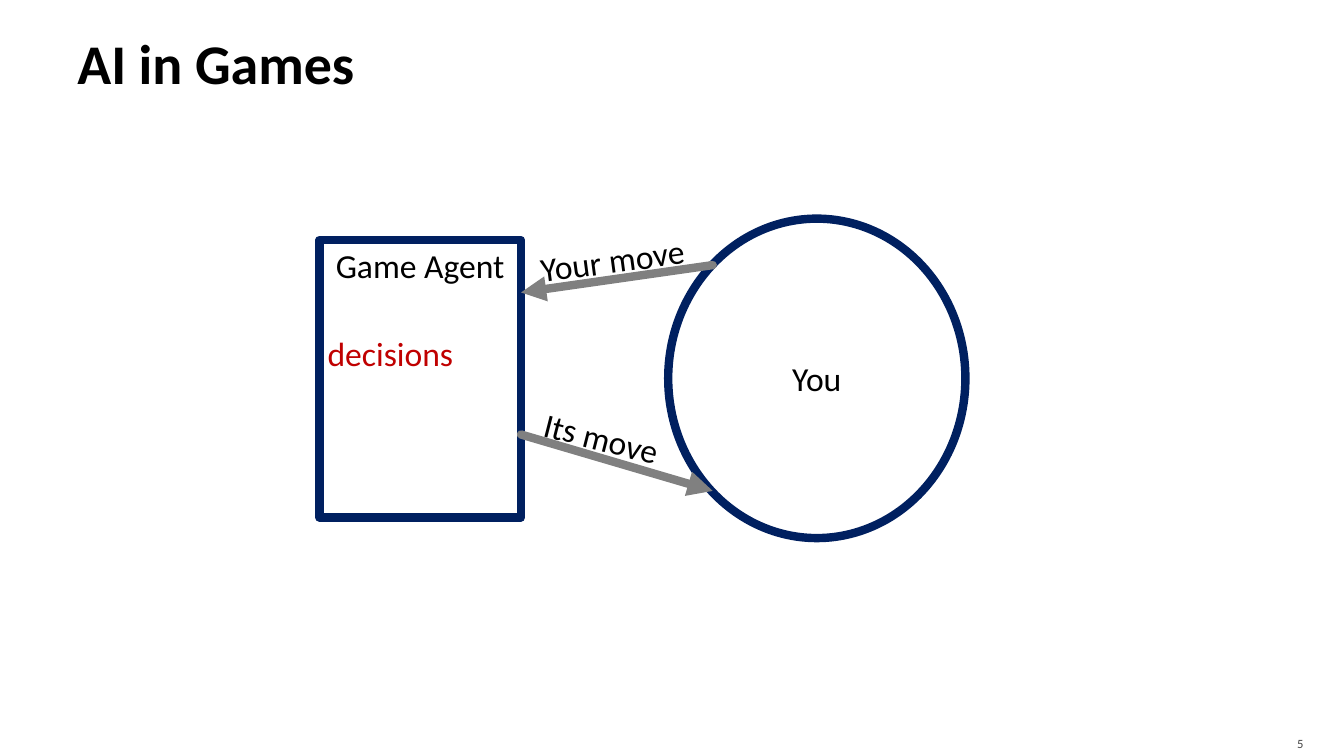
import pptx
import pptx.util
import pptx.dml.color
import pptx.enum.shapes
import pptx.enum.text
import pptx.oxml.ns
import lxml.etree
from dataclasses import dataclass

Cm, Pt = pptx.util.Cm, pptx.util.Pt
SHAPE = pptx.enum.shapes.MSO_SHAPE
ALIGN = pptx.enum.text.PP_ALIGN
ANCHOR = pptx.enum.text.MSO_ANCHOR
FIT = pptx.enum.text.MSO_AUTO_SIZE


@dataclass(frozen=True)
class Theme:
    font: str = "Calibri"
    ink: str = "000000"
    outline: str = "002060"
    arrow: str = "808080"
    accent: str = "C00000"
    number: str = "454545"
    title_size: int = 40
    body_size: int = 24
    number_size: int = 9
    line_width: int = 6


THEME = Theme()

# Content: places are left, top, width, height in centimetres
TITLE = ("AI in Games", (1.7, 0.2, 30.48, 2.74))
PLAYERS = [
    ("You", SHAPE.OVAL, (16.84, 5.51, 7.49, 8.05), ANCHOR.MIDDLE),
    ("Game Agent", SHAPE.RECTANGLE, (8.05, 6.05, 5.08, 6.99), ANCHOR.TOP),
]
AGENT_EDGE, YOU_EDGE = 13.13, 17.96
MOVES = [  # label, label place, rotation, arrow start, arrow end
    ("Your move", (13.36, 5.89, 4.42, 1.27), 352.4, (YOU_EDGE, 6.68), (AGENT_EDGE, 7.37)),
    ("Its move", (13.44, 10.41, 3.63, 1.27), 14.4, (AGENT_EDGE, 10.95), (YOU_EDGE, 12.37)),
]
DECISIONS = ("decisions", (7.92, 8.26, 3.84, 1.27))
NUMBER = ("5", (30.38, 18.29, 2.72, 0.76))


def lengths(place):
    return [Cm(value) for value in place]


def colour(code):
    return pptx.dml.color.RGBColor.from_string(code)


def write(shape, text, size=THEME.body_size, color=THEME.ink, bold=False, align=ALIGN.LEFT,
          anchor=ANCHOR.TOP, wrap=True, fit=FIT.NONE, bottom=0.13):
    frame = shape.text_frame
    frame.word_wrap = wrap
    frame.auto_size = fit
    frame.vertical_anchor = anchor
    frame.margin_left = frame.margin_right = Cm(0.25)
    frame.margin_top, frame.margin_bottom = Cm(0.13), Cm(bottom)
    para = frame.paragraphs[0]
    para.alignment = align
    span = para.add_run()
    span.text = text
    span.font.name, span.font.size, span.font.bold = THEME.font, Pt(size), bold
    span.font.color.rgb = colour(color)


def stroke(shape, color):
    """Draw a thick line with round joins; return its XML element."""
    shape.line.color.rgb = colour(color)
    shape.line.width = Pt(THEME.line_width)
    line = shape.line._get_or_add_ln()
    lxml.etree.SubElement(line, pptx.oxml.ns.qn("a:round"))
    return line


def add_arrow(page, start, end):
    arrow = page.shapes.add_connector(
        pptx.enum.shapes.MSO_CONNECTOR.STRAIGHT, *lengths(start + end))
    line = stroke(arrow, THEME.arrow)
    line.set("cap", "rnd")
    lxml.etree.SubElement(line, pptx.oxml.ns.qn("a:tailEnd"), type="triangle")
    lxml.etree.SubElement(arrow._element.spPr, pptx.oxml.ns.qn("a:effectLst"))


def main():
    deck = pptx.Presentation()
    deck.slide_width, deck.slide_height = Cm(33.87), Cm(19.05)
    page = deck.slides.add_slide(deck.slide_layouts.get_by_name("Title Only"))

    # Title
    text, place = TITLE
    title = page.shapes.title
    title.left, title.top, title.width, title.height = lengths(place)
    write(title, text, size=THEME.title_size, bold=True, anchor=ANCHOR.MIDDLE)

    # Player and game agent
    for text, kind, place, anchor in PLAYERS:
        player = page.shapes.add_shape(kind, *lengths(place))
        player.shadow.inherit = False
        player.fill.background()
        stroke(player, THEME.outline)
        write(player, text, align=ALIGN.CENTER, anchor=anchor)

    # Moves between them
    for text, place, rotation, start, end in MOVES:
        add_arrow(page, start, end)
        label = page.shapes.add_textbox(*lengths(place))
        label.rotation = rotation
        write(label, text, wrap=False, fit=FIT.SHAPE_TO_FIT_TEXT)

    # Decisions inside the agent
    text, place = DECISIONS
    write(page.shapes.add_textbox(*lengths(place)), text, color=THEME.accent,
          align=ALIGN.CENTER, fit=FIT.SHAPE_TO_FIT_TEXT)

    # Page number
    text, place = NUMBER
    write(page.shapes.add_textbox(*lengths(place)), text, size=THEME.number_size,
          color=THEME.number, align=ALIGN.RIGHT, anchor=ANCHOR.MIDDLE, bottom=0)

    deck.save("out.pptx")


if __name__ == "__main__":
    main()
